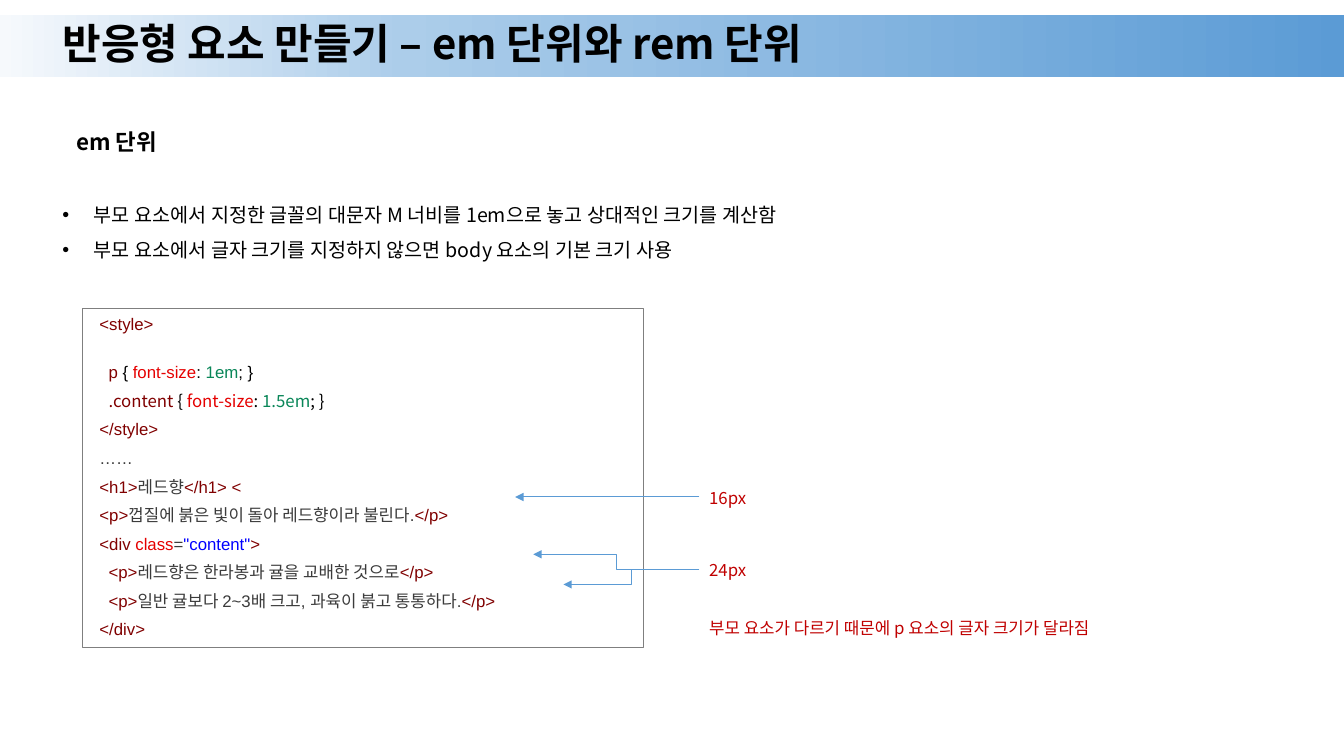
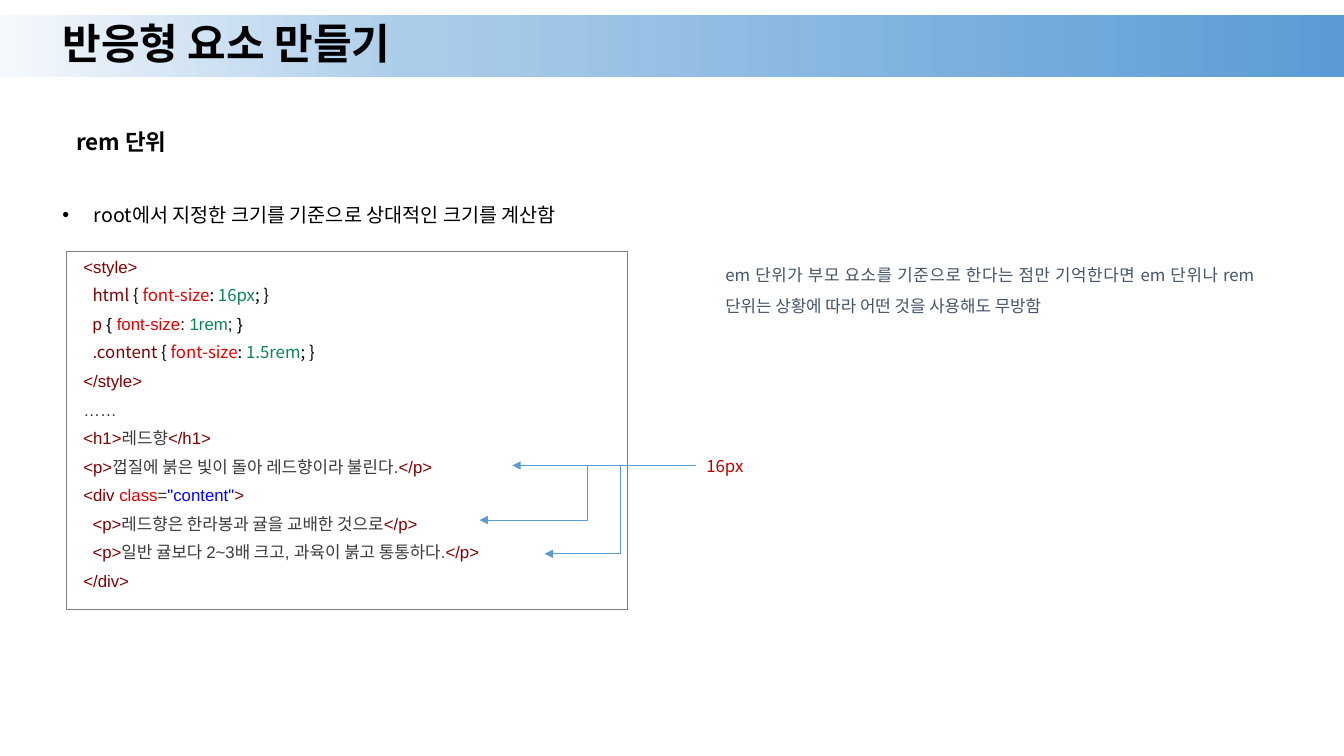
from collections import namedtuple

from lxml import etree
from pptx import Presentation
from pptx.dml.color import RGBColor
from pptx.enum.shapes import MSO_CONNECTOR, MSO_SHAPE
from pptx.enum.text import MSO_ANCHOR, PP_ALIGN
from pptx.oxml.ns import qn
from pptx.util import Pt

RECTANGLE = MSO_SHAPE.RECTANGLE
STRAIGHT, ELBOW = MSO_CONNECTOR.STRAIGHT, MSO_CONNECTOR.ELBOW
TOP, MIDDLE = MSO_ANCHOR.TOP, MSO_ANCHOR.MIDDLE
LEFT, JUSTIFY = PP_ALIGN.LEFT, PP_ALIGN.JUSTIFY

SLIDE_WIDTH, SLIDE_HEIGHT = 960, 540
SANS, CODE = "Noto Sans CJK KR", "Arial"

BLACK = RGBColor(0x00, 0x00, 0x00)
BORDER = RGBColor(0x7F, 0x7F, 0x7F)
ARROW = RGBColor(0x5B, 0x9B, 0xD5)
CALLOUT = RGBColor(0xC0, 0x00, 0x00)
NOTE = RGBColor(0x44, 0x54, 0x6A)
TAG = RGBColor(0x80, 0x00, 0x00)
ATTRIBUTE = RGBColor(0xE5, 0x00, 0x00)
NUMBER = RGBColor(0x09, 0x86, 0x58)
STRING = RGBColor(0x00, 0x00, 0xFF)
CONTENT = RGBColor(0x3B, 0x3B, 0x3B)
BAND_STOPS = ((0, RGBColor(0xF6, 0xF9, 0xFC)), (30, RGBColor(0xAC, 0xCD, 0xEA)), (100, ARROW))

CODE_SIZE, CODE_PITCH, CODE_GAP = 12, 14.4, 6
CODE_MARGIN, CODE_INDENT = 5, 6.5
BULLET_INDENT = 22.5
HEADING_BOX = (47.5, 87, 260, 26.5)

Box = namedtuple("Box", "left top width height")
CodeLine = namedtuple("CodeLine", "tokens indent font gap", defaults=(0, CODE, CODE_GAP))


def points(values):
    """Turn numbers into lengths in points."""
    return [Pt(value) for value in values]


def add_run(paragraph, text, size, color, font=SANS, bold=False):
    """Append one run, with the Korean font set beside the Latin one."""
    run = paragraph.add_run()
    run.text = text
    run.font.size = Pt(size)
    run.font.name = font
    run.font.bold = bold
    run.font.color.rgb = color
    east_asian = etree.SubElement(run.font._element, qn("a:ea"))
    east_asian.set("typeface", SANS)


def set_indent(paragraph, margin, first_line=0):
    """Set the left margin and first-line indent of a paragraph."""
    properties = paragraph._p.get_or_add_pPr()
    properties.set("marL", str(Pt(margin)))
    properties.set("indent", str(Pt(first_line)))
    return properties


def add_paragraphs(frame, count):
    """Return the given number of paragraphs of an empty text frame."""
    return [frame.paragraphs[0]] + [frame.add_paragraph() for _ in range(count - 1)]


def add_text(slide, box, lines, size, color=BLACK, bold=False, spacing=None,
             align=LEFT, anchor=TOP, bulleted=False):
    """Place a wrapped text box with one paragraph for each line."""
    frame = slide.shapes.add_textbox(*points(box)).text_frame
    frame.word_wrap = True
    frame.vertical_anchor = anchor
    for paragraph, line in zip(add_paragraphs(frame, len(lines)), lines):
        paragraph.alignment = align
        paragraph.line_spacing = spacing or Pt(1.25 * size)
        if bulleted:
            properties = set_indent(paragraph, BULLET_INDENT, -BULLET_INDENT)
            etree.SubElement(properties, qn("a:buFont")).set("typeface", CODE)
            etree.SubElement(properties, qn("a:buChar")).set("char", "•")
        add_run(paragraph, line, size, color, bold=bold)


def add_title_band(slide, box, title):
    """Draw the gradient band and the title on it."""
    band = slide.shapes.add_shape(RECTANGLE, *points(box))
    band.shadow.inherit = False
    band.line.fill.background()
    band.fill.gradient()
    band.fill.gradient_angle = 0
    stops = next(band._element.iter(qn("a:gsLst")))
    for stop in list(stops):
        stops.remove(stop)
    for percent, color in BAND_STOPS:
        stop = etree.SubElement(stops, qn("a:gs"), pos=str(percent * 1000))
        etree.SubElement(stop, qn("a:srgbClr"), val=str(color))
    title_box = Box(box.left + 37.5, box.top, 716, box.height + 0.6)
    add_text(slide, title_box, [title], 30, bold=True, spacing=0.9, anchor=MIDDLE)


def add_unit_slide(presentation, title, heading, bullets):
    """Add a slide with the title band, a heading and bullets."""
    slide = presentation.slides.add_slide(presentation.slide_layouts[6])
    add_title_band(slide, Box(0, 10.8, SLIDE_WIDTH, 44), title)
    add_text(slide, HEADING_BOX, [heading], 16, bold=True)
    bullet_box = Box(37.5, 133.2, 655, 7.2 + 25 * len(bullets))
    add_text(slide, bullet_box, bullets, 14, spacing=Pt(25), bulleted=True)
    return slide


def css_rule(selector, size, font=SANS, gap=CODE_GAP):
    """Return the coloured line of a font-size rule."""
    tokens = ((selector, TAG), (" { ", BLACK), ("font-size", ATTRIBUTE),
              (": ", BLACK), (size, NUMBER), ("; }", BLACK))
    return CodeLine(tokens, CODE_INDENT, font, gap)


def html_element(name, content, indent=0, after=""):
    """Return the coloured line of an element with its content."""
    tokens = ((f"<{name}>", TAG), (content, CONTENT), (f"</{name}>{after}", TAG))
    return CodeLine(tokens, indent)


def listing(rules, after_heading=""):
    """Return the lines of the page source around the given rules."""
    return [
        CodeLine((("<style>", TAG),), gap=0),
        *rules,
        CodeLine((("</style>", TAG),)),
        CodeLine((("……", CONTENT),)),
        html_element("h1", "레드향", after=after_heading),
        html_element("p", "껍질에 붉은 빛이 돌아 레드향이라 불린다."),
        CodeLine((("<div", TAG), (" ", CONTENT), ("class", ATTRIBUTE), ("=", CONTENT),
                  ('"content"', STRING), (">", TAG))),
        html_element("p", "레드향은 한라봉과 귤을 교배한 것으로", CODE_INDENT),
        html_element("p", "일반 귤보다 2~3배 크고, 과육이 붉고 통통하다.", CODE_INDENT),
        CodeLine((("</div>", TAG),)),
    ]


def add_code_panel(slide, box, code_lines):
    """Draw the bordered panel with its coloured code lines."""
    panel = slide.shapes.add_shape(RECTANGLE, *points(box))
    panel.shadow.inherit = False
    panel.fill.background()
    panel.line.color.rgb = BORDER
    panel.line.width = Pt(0.75)
    frame = panel.text_frame
    frame.word_wrap = True
    frame.vertical_anchor = TOP
    for paragraph, line in zip(add_paragraphs(frame, len(code_lines)), code_lines):
        paragraph.alignment = LEFT
        paragraph.line_spacing = Pt(CODE_PITCH)
        paragraph.space_before = Pt(line.gap)
        set_indent(paragraph, CODE_MARGIN + line.indent)
        for text, color in line.tokens:
            add_run(paragraph, text, CODE_SIZE, color, line.font)


def add_size_callout(slide, box, size, targets):
    """Write a font size and draw arrows from it to the lines it applies to."""
    add_text(slide, box, [size], 12, CALLOUT)
    middle = box.top + box.height / 2
    for x, y in targets:
        route = STRAIGHT if y == middle else ELBOW
        arrow = slide.shapes.add_connector(route, *points((box.left, middle, x, y)))
        arrow.line.color.rgb = ARROW
        arrow.line.width = Pt(0.75)
        outline = arrow.line._get_or_add_ln()
        etree.SubElement(outline, qn("a:tailEnd")).set("type", "triangle")
        etree.SubElement(arrow._element.spPr, qn("a:effectLst"))


def add_em_slide(presentation):
    """Build the slide about the em unit."""
    slide = add_unit_slide(
        presentation, "반응형 요소 만들기 – em 단위와 rem 단위", "em 단위",
        ["부모 요소에서 지정한 글꼴의 대문자 M 너비를 1em으로 놓고 상대적인 크기를 계산함",
         "부모 요소에서 글자 크기를 지정하지 않으면 body 요소의 기본 크기 사용"])
    rules = [css_rule("p", "1em", CODE, CODE_GAP + CODE_PITCH),
             css_rule(".content", "1.5em")]
    add_code_panel(slide, Box(59, 220.3, 401, 242.6), listing(rules, " <"))
    add_size_callout(slide, Box(499.5, 344, 69, 22), "16px", [(368, 355)])
    add_size_callout(slide, Box(499.5, 396, 69, 22), "24px", [(381, 396), (402.5, 417.5)])
    add_text(slide, Box(499.5, 437, 357, 22),
             ["부모 요소가 다르기 때문에 p 요소의 글자 크기가 달라짐"], 12, CALLOUT)


def add_rem_slide(presentation):
    """Build the slide about the rem unit."""
    slide = add_unit_slide(presentation, "반응형 요소 만들기", "rem 단위",
                           ["root에서 지정한 크기를 기준으로 상대적인 크기를 계산함"])
    rules = [css_rule("html", "16px"), css_rule("p", "1rem", CODE),
             css_rule(".content", "1.5rem")]
    add_code_panel(slide, Box(47.5, 179.6, 401, 255.6), listing(rules))
    add_size_callout(slide, Box(497.5, 321.5, 69, 22), "16px",
                     [(366, 332.5), (342.5, 371.5), (389, 395.5)])
    add_text(slide, Box(511, 178, 392, 48),
             ["em 단위가 부모 요소를 기준으로 한다는 점만 기억한다면 em 단위나 rem "
              "단위는 상황에 따라 어떤 것을 사용해도 무방함"],
             12, NOTE, spacing=Pt(22), align=JUSTIFY)


def main():
    """Build and save the presentation."""
    presentation = Presentation()
    presentation.slide_width = Pt(SLIDE_WIDTH)
    presentation.slide_height = Pt(SLIDE_HEIGHT)
    add_em_slide(presentation)
    add_rem_slide(presentation)
    presentation.save("out.pptx")


if __name__ == "__main__":
    main()
